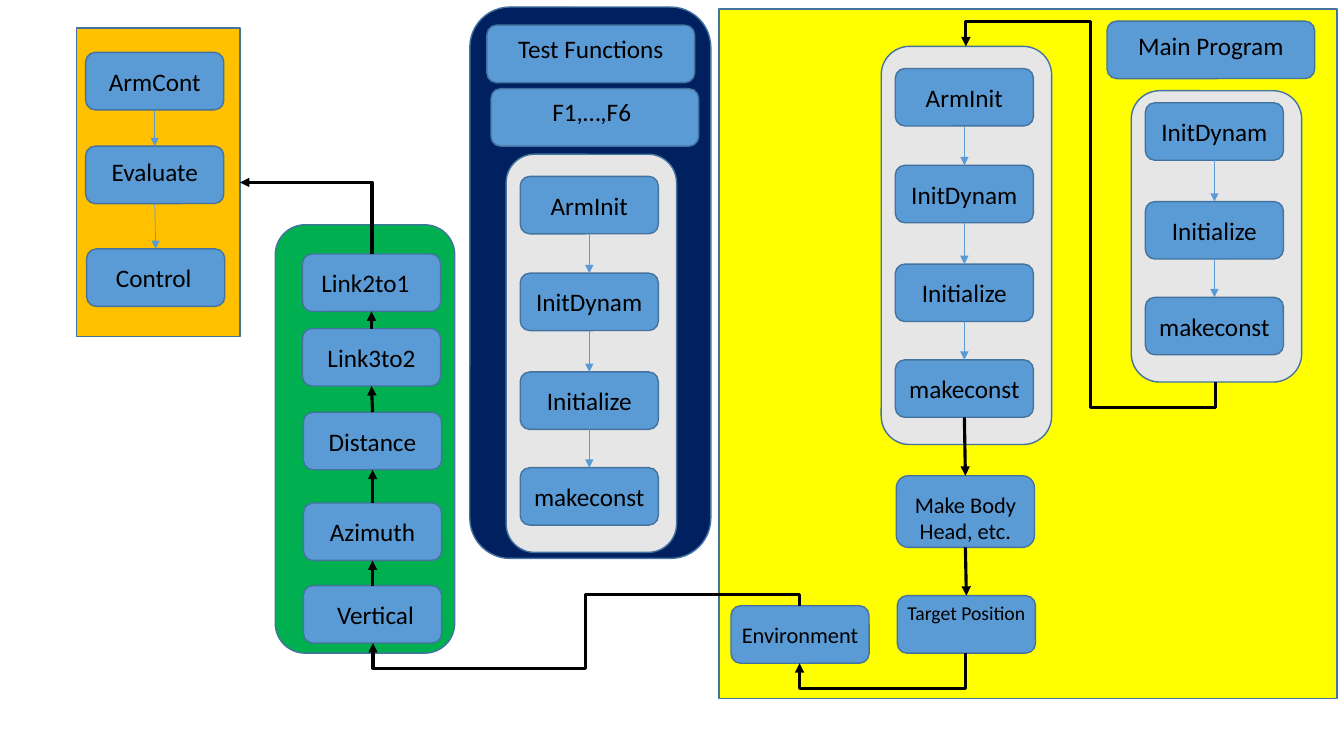
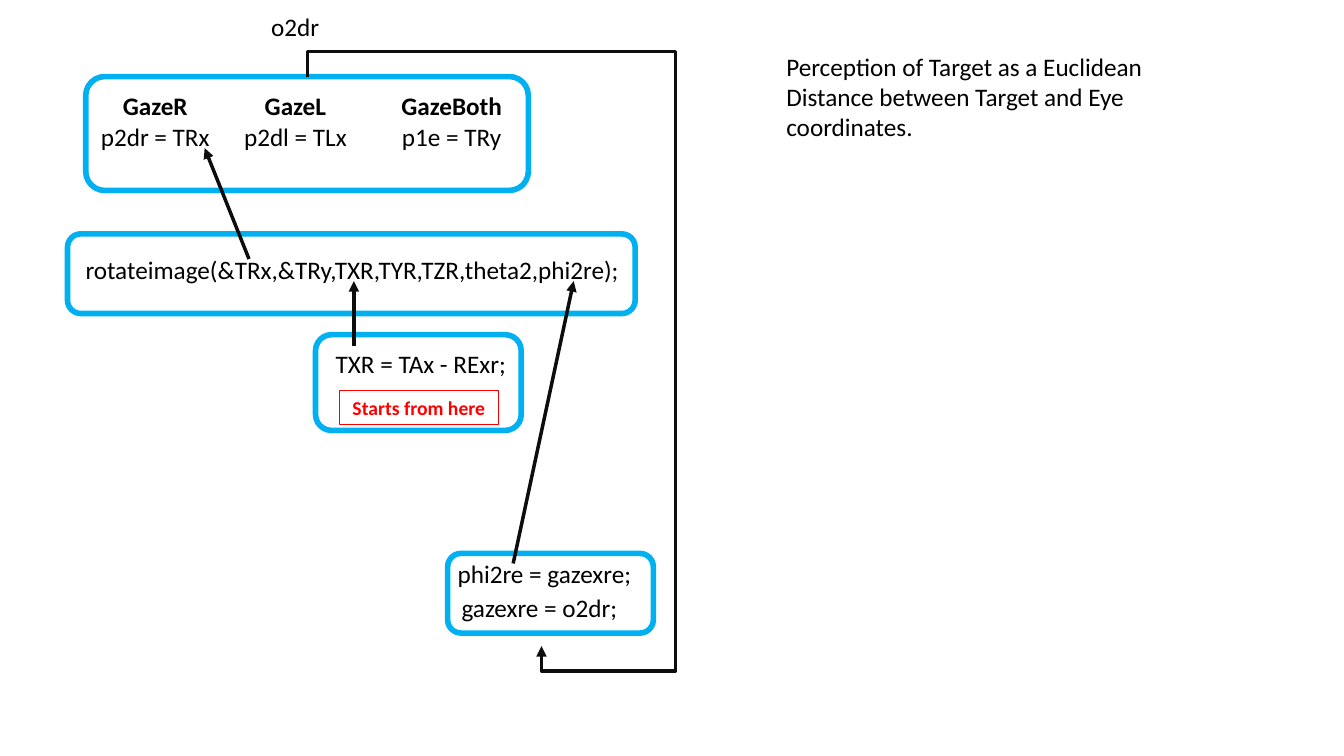
from dataclasses import dataclass
from typing import Any, Optional

from pptx import Presentation
from pptx import util as u
from pptx.dml.color import RGBColor
from pptx.enum import shapes, text
from pptx.oxml import ns, xmlchemy
from pptx.oxml import parse_xml
from pptx.slide import Slide

FONT = "Calibri"
COLORS = {
    "step": "5B9BD5", "edge": "43739E", "panel": "E7E6E6", "green": "00B050",
    "navy": "002060", "orange": "FFC000", "yellow": "FFFF00", "black": "000000",
    "ink": "0D0D0D", "sky": "00B0F0", "red": "FF0000",
}
STEP_W, STEP_H = 1.37, 0.57
TITLE_W = 2.06
TOP, BOTTOM = 0, 2
ROUND = shapes.MSO_SHAPE.ROUNDED_RECTANGLE
RECT = shapes.MSO_SHAPE.RECTANGLE


@dataclass(frozen=True)
class Stroke:
    color: str
    width: float


THIN = Stroke("step", 0.5)
BOLD = Stroke("black", 2.25)
INK = Stroke("ink", 2.5)
EDGE = Stroke("edge", 1)
SKY = Stroke("sky", 4)


@dataclass(frozen=True)
class Box:
    left: float
    top: float
    width: float = STEP_W
    height: float = STEP_H
    label: str = ""
    size: int = 18
    fill: Optional[str] = "step"
    stroke: Stroke = EDGE
    kind: Any = ROUND
    color: str = "black"
    bold: bool = False
    dx: float = 0
    dy: float = 0


@dataclass(frozen=True)
class Elbow:
    start: tuple[float, float]
    end: tuple[float, float]
    lanes: tuple[float, ...]
    turn: int
    stroke: Stroke = BOLD


@dataclass(frozen=True)
class Note:
    left: float
    top: float
    width: float
    height: float
    label: str
    heading: str = ""


def rgb(name: str) -> RGBColor:
    return RGBColor.from_string(COLORS[name])


def write(frame: Any, content: str, *, size: int = 18, color: str = "black",
          bold: bool = False, bold_lines: int = 0, align: Any = text.PP_ALIGN.LEFT,
          anchor: Any = text.MSO_ANCHOR.TOP) -> None:
    frame.word_wrap = True
    frame.vertical_anchor = anchor
    for index, line in enumerate(content.split("\n")):
        paragraph = frame.paragraphs[0] if index == 0 else frame.add_paragraph()
        paragraph.alignment = align
        run = paragraph.add_run()
        run.text = line
        run.font.name = FONT
        run.font.size = u.Pt(size)
        run.font.bold = bold or index < bold_lines
        run.font.color.rgb = rgb(color)


def draw_box(slide: Slide, box: Box) -> Any:
    shape = slide.shapes.add_shape(
        box.kind, *map(u.Inches, (box.left, box.top, box.width, box.height)))
    shape.shadow.inherit = False
    if box.fill:
        shape.fill.solid()
        shape.fill.fore_color.rgb = rgb(box.fill)
    else:
        shape.fill.background()
    shape.line.color.rgb = rgb(box.stroke.color)
    shape.line.width = u.Pt(box.stroke.width)
    if box.label:
        frame = shape.text_frame
        frame.margin_left = u.Inches(max(0, 2 * box.dx))
        frame.margin_right = u.Inches(max(0, -2 * box.dx))
        frame.margin_top = u.Inches(max(0, 2 * box.dy))
        frame.margin_bottom = u.Inches(max(0, -2 * box.dy))
        write(frame, box.label, size=box.size, color=box.color, bold=box.bold,
              align=text.PP_ALIGN.CENTER, anchor=text.MSO_ANCHOR.MIDDLE)
    return shape


def draw_note(slide: Slide, note: Note) -> None:
    frame = slide.shapes.add_textbox(
        *map(u.Inches, (note.left, note.top, note.width, note.height))).text_frame
    if note.heading:
        write(frame, f"{note.heading}\n{note.label}", bold_lines=1,
              align=text.PP_ALIGN.CENTER)
    else:
        write(frame, note.label)


def style_arrow(connector: Any, stroke: Stroke) -> None:
    connector.line.color.rgb = rgb(stroke.color)
    connector.line.width = u.Pt(stroke.width)
    properties = connector.element.spPr
    properties.find(ns.qn("a:ln")).append(
        parse_xml(f'<a:tailEnd {ns.nsdecls("a")} type="triangle"/>'))
    properties.append(parse_xml(f'<a:effectLst {ns.nsdecls("a")}/>'))


def draw_arrow(slide: Slide, start: tuple[float, float], end: tuple[float, float],
               stroke: Stroke) -> Any:
    arrow = slide.shapes.add_connector(
        shapes.MSO_CONNECTOR.STRAIGHT, *map(u.Inches, (*start, *end)))
    style_arrow(arrow, stroke)
    return arrow


def join(slide: Slide, source: Any, target: Any, stroke: Stroke,
         upward: bool = False) -> None:
    arrow = draw_arrow(slide, (0, 0), (1, 1), stroke)
    arrow.begin_connect(source, TOP if upward else BOTTOM)
    arrow.end_connect(target, BOTTOM if upward else TOP)


def draw_chain(slide: Slide, boxes: list[Box], stroke: Stroke,
               upward: bool = False) -> list[Any]:
    steps = [draw_box(slide, box) for box in boxes]
    for source, target in zip(steps, steps[1:]):
        join(slide, source, target, stroke, upward)
    return steps


def draw_stack(slide: Slide, panel: Box, offsets: tuple[float, ...],
               labels: tuple[str, ...]) -> list[Any]:
    draw_box(slide, panel)
    return draw_chain(slide, [
        Box(panel.left + 0.14, panel.top + offset, label=label)
        for offset, label in zip(offsets, labels)], THIN)


def draw_elbow(slide: Slide, elbow: Elbow) -> None:
    (x0, y0), (x1, y1) = elbow.start, elbow.end
    dx, dy = x1 - x0, y1 - y0
    length, breadth = abs(dy), abs(dx)
    left, top = (x0 + x1 - length) / 2, (y0 + y1 - breadth) / 2
    connector = slide.shapes.add_connector(
        shapes.MSO_CONNECTOR.ELBOW,
        *map(u.Inches, (left, top, left + length, top + breadth)))
    reverse = elbow.turn == 270
    frame = connector.element.spPr.find(ns.qn("a:xfrm"))
    frame.set("rot", str(elbow.turn * 60000))
    frame.set("flipH", str(int((dy < 0) != reverse)))
    frame.set("flipV", str(int((dx > 0) != reverse)))
    geometry = connector.element.spPr.find(ns.qn("a:prstGeom"))
    geometry.set("prst", f"bentConnector{2 + len(elbow.lanes)}")
    guides = geometry.find(ns.qn("a:avLst"))
    for index, lane in enumerate(elbow.lanes):
        ratio = (lane - x0) / dx if index % 2 else (lane - y0) / dy
        guides.append(parse_xml(
            f'<a:gd {ns.nsdecls("a")} name="adj{index + 1}" '
            f'fmla="val {round(ratio * 100000)}"/>'))
    style_arrow(connector, elbow.stroke)


def build_program_flow(slide: Slide) -> None:
    for area in (
        Box(2.73, 2.23, 1.78, 4.25, fill="green"),
        Box(4.66, 0.07, 2.39, 5.47, fill="navy"),
        Box(0.76, 0.28, 1.62, 3.06, fill="orange", kind=RECT),
        Box(7.13, 0.09, 6.13, 6.84, fill="yellow", kind=RECT),
        Box(10.98, 0.21, TITLE_W, label="Main Program", dy=-0.04),
        Box(4.83, 0.25, TITLE_W, label="Test Functions", dy=-0.05),
        Box(4.87, 0.88, TITLE_W, label="F1,…,F6", dx=-0.03, dy=-0.06),
        Box(7.25, 6.01, label="Environment", size=16),
    ):
        draw_box(slide, area)

    draw_chain(slide, [
        Box(0.85, 0.52, label="ArmCont"),
        Box(0.85, 1.45, label="Evaluate", dy=-0.03),
        Box(0.86, 2.47, label="Control", dx=-0.02),
    ], THIN)
    draw_chain(slide, [
        Box(3.01, 5.81, label="Vertical", dx=0.03),
        Box(3.01, 4.99, label="Azimuth"),
        Box(3.01, 4.09, label="Distance"),
        Box(3, 3.26, label="Link3to2"),
        Box(3, 2.52, label="Link2to1", dx=-0.06),
    ], BOLD, upward=True)

    labels = ("ArmInit", "InitDynam", "Initialize", "makeconst")
    offsets = (0.22, 1.18, 2.16, 3.11)
    draw_stack(slide, Box(5.02, 1.53, 1.69, 3.95, fill="panel"), offsets, labels)
    draw_stack(slide, Box(11.22, 0.9, 1.69, 2.89, fill="panel"),
               (0.12, 1.1, 2.05), labels[1:])
    arm_steps = draw_stack(slide, Box(8.74, 0.46, 1.69, 3.95, fill="panel"),
                           offsets, labels)
    setup_steps = draw_chain(slide, [
        Box(8.89, 4.72, height=0.71, label="Make Body\nHead, etc.", size=16, dy=0.06),
        Box(8.9, 5.91, label="Target Position", size=14, dy=-0.12),
    ], BOLD)
    join(slide, arm_steps[-1], setup_steps[0], BOLD)

    for elbow in (
        Elbow((12.06, 3.79), (9.58, 0.46), (4.04, 10.82, 0.21), 90),
        Elbow((9.58, 6.48), (7.93, 6.58), (6.83,), 90),
        Elbow((3.69, 2.52), (2.38, 1.81), (), 270),
        Elbow((7.93, 6.01), (3.7, 6.38), (5.9, 5.81, 6.63), 270),
    ):
        draw_elbow(slide, elbow)


def build_perception(slide: Slide) -> None:
    for frame in (
        Box(0.85, 0.76, 4.39, 1.13, fill=None, stroke=SKY),
        Box(0.67, 2.32, 5.63, 0.79, fill=None, stroke=SKY),
        Box(3.13, 3.32, 2.04, 0.95, fill=None, stroke=SKY),
        Box(4.44, 5.49, 2.04, 0.79, fill=None, stroke=SKY),
        Box(3.37, 3.87, 1.57, 0.34, "Starts from here", 14, fill=None,
            stroke=Stroke("red", 0.75), kind=RECT, color="red", bold=True),
    ):
        draw_box(slide, frame)
    for note in (
        Note(0.85, 0.85, 1.38, 0.7, "p2dr = TRx", "GazeR"),
        Note(2.24, 0.85, 1.38, 0.7, "p2dl = TLx", "GazeL"),
        Note(3.79, 0.85, 1.38, 0.7, "p1e = TRy", "GazeBoth"),
        Note(0.75, 2.47, 5.7, 0.4, "rotateimage(&TRx,&TRy,TXR,TYR,TZR,theta2,phi2re);"),
        Note(3.23, 3.41, 2, 0.4, "TXR = TAx - RExr;"),
        Note(2.59, 0.06, 0.8, 0.4, "o2dr"),
        Note(4.44, 5.49, 2.04, 0.4, "phi2re = gazexre;"),
        Note(4.48, 5.83, 2, 0.4, "gazexre = o2dr;"),
        Note(7.7, 0.46, 4.49, 1.01, "Perception of Target as a Euclidean Distance "
             "between Target and Eye coordinates."),
    ):
        draw_note(slide, note)
    for start, end in (
        ((2.47, 2.57), (2.03, 1.47)),
        ((3.51, 3.43), (3.51, 2.79)),
        ((5.09, 5.59), (5.69, 2.79)),
    ):
        draw_arrow(slide, start, end, INK)
    draw_elbow(slide, Elbow((3.05, 0.76), (5.37, 6.41), (0.51, 6.7, 6.66), 270, INK))


def main() -> None:
    deck = Presentation()
    deck.slide_width, deck.slide_height = u.Inches(13.33), u.Inches(7.5)
    for build in (build_program_flow, build_perception):
        build(deck.slides.add_slide(deck.slide_layouts[6]))
    deck.save("out.pptx")


if __name__ == "__main__":
    main()
